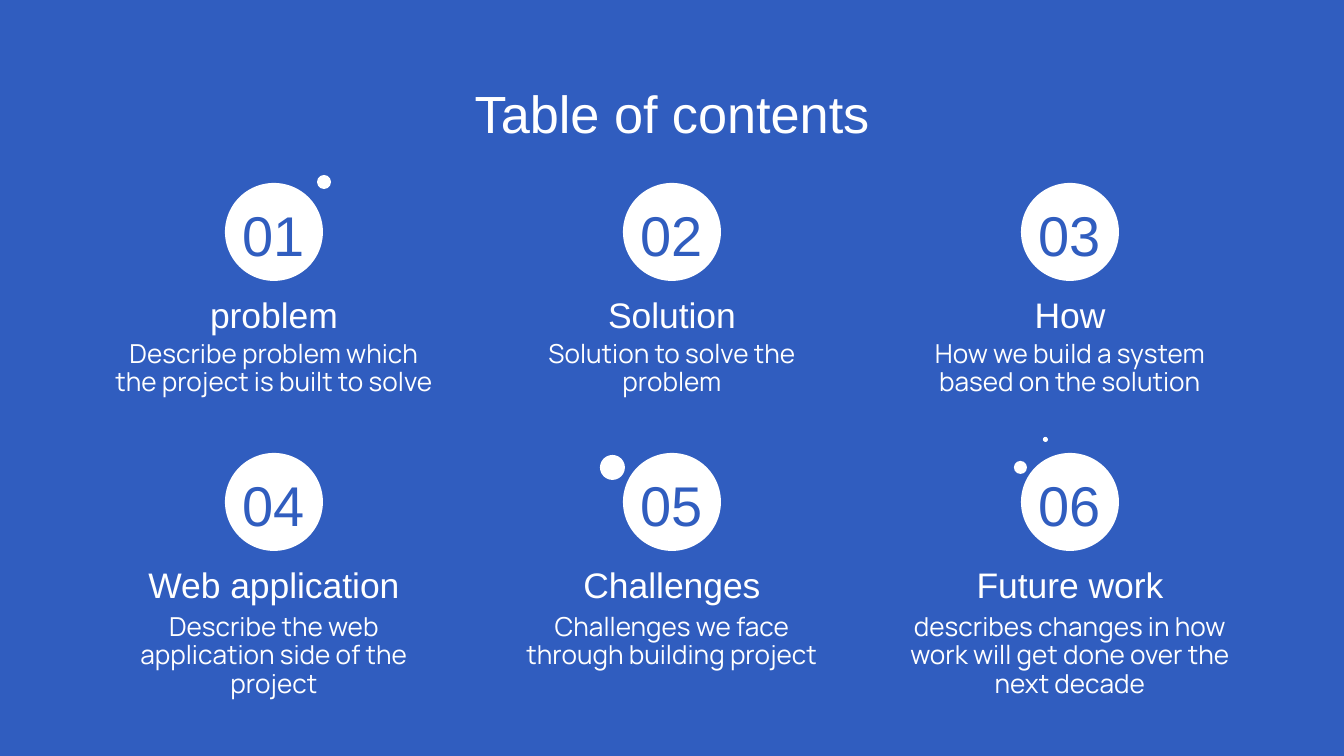
import pptx
import pptx.dml.color
import pptx.enum.shapes
import pptx.enum.text
import pptx.util

BLUE, WHITE = "305DBF", "FFFFFF"
ANCHOR = pptx.enum.text.MSO_ANCHOR
CIRCLE = 98
COLUMN_W = 356
COLUMN_CENTERS = [274 + 398 * i for i in range(3)]
ROWS = [(183, 280, 328), (453, 550, 601)]
TOPICS = [
    ("problem", "Describe problem which the project is built to solve"),
    ("Solution", "Solution to solve the problem"),
    ("How", "How we build a system based on the solution"),
    ("Web application", "Describe the web application side of the project"),
    ("Challenges", "Challenges we face through building project"),
    ("Future work", "describes changes in how work will get done over the next decade"),
]
DOTS = [(317, 175, 14), (1014, 461, 13), (1043, 437, 5), (600, 455, 25)]


def px(n):
    return pptx.util.Emu(round(n * 914400 / 134.4))


def color(value):
    return pptx.dml.color.RGBColor.from_string(value)


def paint(fill, value):
    fill.solid()
    fill.fore_color.rgb = color(value)


def add_circle(slide, x, y, size):
    sp = slide.shapes.add_shape(
        pptx.enum.shapes.MSO_SHAPE.OVAL, px(x), px(y), px(size), px(size))
    sp.shadow.inherit = False
    paint(sp.fill, WHITE)
    sp.line.fill.background()


def write(sp, text, size, font="Arial", value=WHITE, anchor=ANCHOR.TOP, spacing=1.0):
    tf = sp.text_frame
    tf.word_wrap = True
    tf.auto_size = pptx.enum.text.MSO_AUTO_SIZE.NONE
    tf.vertical_anchor = anchor
    tf.margin_left = tf.margin_right = tf.margin_top = tf.margin_bottom = px(13)
    p = tf.paragraphs[0]
    p.alignment = pptx.enum.text.PP_ALIGN.CENTER
    p.line_spacing = spacing
    r = p.add_run()
    r.text = text
    r.font.size = pptx.util.Pt(size)
    r.font.name = font
    r.font.color.rgb = color(value)


def add_text(slide, x, y, w, h, text, size, **style):
    sp = slide.shapes.add_textbox(px(x), px(y), px(w), px(h))
    write(sp, text, size, **style)


def add_title(slide, text):
    sp = slide.shapes.title
    sp.left, sp.top, sp.width, sp.height = px(46), px(66), px(1252), px(84)
    write(sp, text, 28, anchor=ANCHOR.MIDDLE, spacing=1.15)


def add_topic(slide, index, heading, body):
    row, col = divmod(index, len(COLUMN_CENTERS))
    center = COLUMN_CENTERS[col]
    circle_y, heading_y, body_y = ROWS[row]
    circle_x = center - CIRCLE // 2
    text_x = center - COLUMN_W // 2
    add_circle(slide, circle_x, circle_y, CIRCLE)
    add_text(slide, circle_x, circle_y, CIRCLE, CIRCLE, f"{index + 1:02d}", 30,
             value=BLUE, anchor=ANCHOR.BOTTOM)
    add_text(slide, text_x, heading_y, COLUMN_W, 62, heading, 19)
    add_text(slide, text_x, body_y, COLUMN_W, 98, body, 14,
             font="Manrope", spacing=0.9)


def main():
    prs = pptx.Presentation()
    prs.slide_width, prs.slide_height = px(1344), px(756)
    slide = prs.slides.add_slide(prs.slide_layouts.get_by_name("Title Only"))
    paint(slide.background.fill, BLUE)
    add_title(slide, "Table of contents")
    for i, (heading, body) in enumerate(TOPICS):
        add_topic(slide, i, heading, body)
    for x, y, size in DOTS:
        add_circle(slide, x, y, size)
    prs.save("out.pptx")


if __name__ == "__main__":
    main()
